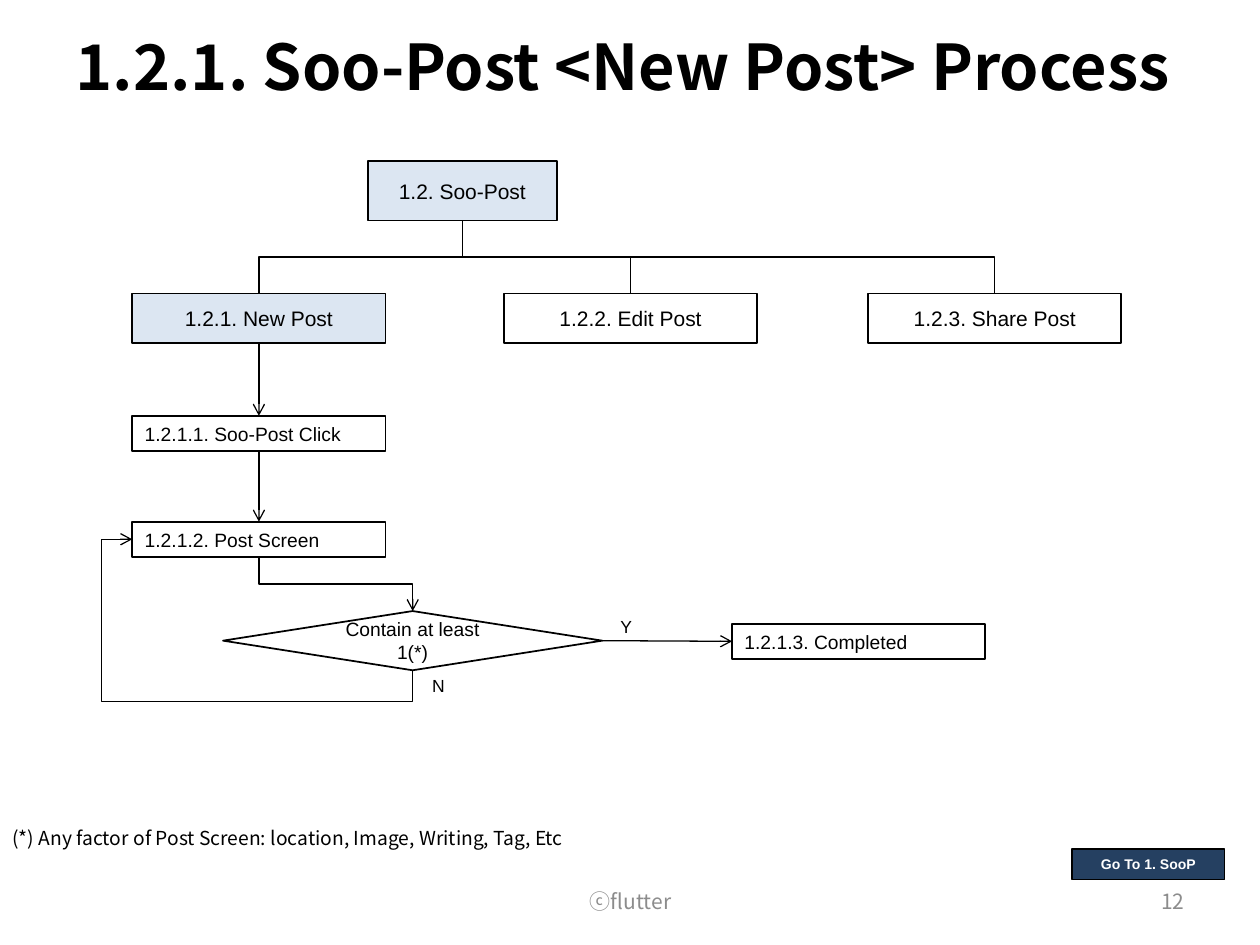
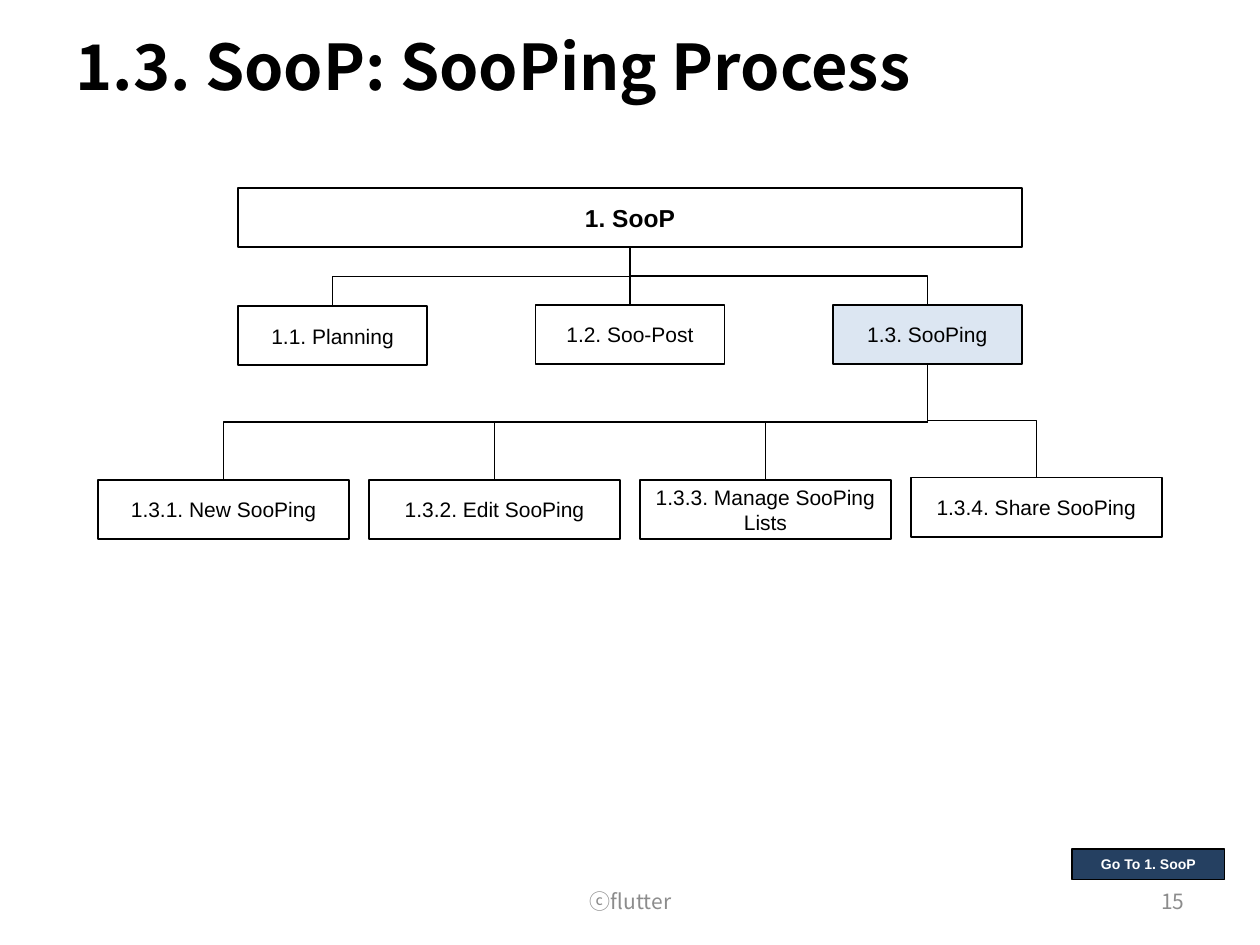
import pptx
import pptx.util
import pptx.dml.color
import pptx.enum.shapes
import pptx.enum.text
import pptx.oxml.ns
from lxml import etree

Inches = pptx.util.Inches
Pt = pptx.util.Pt
Shape = pptx.enum.shapes.MSO_SHAPE
Link = pptx.enum.shapes.MSO_CONNECTOR
Align = pptx.enum.text.PP_ALIGN
Anchor = pptx.enum.text.MSO_ANCHOR
qn = pptx.oxml.ns.qn

TOP, LEFT, BOTTOM, RIGHT = range(4)
BLACK, WHITE, GREY = "000000", "FFFFFF", "8C8C8C"
PALE, NAVY = "DCE6F2", "254061"
SANS, NOTO = "Arial", "Noto Sans CJK KR"


def tint(code):
    return pptx.dml.color.RGBColor.from_string(code)


def side(box, site):
    """Middle point of one side of a box."""
    x = box.left + box.width * {LEFT: 0, RIGHT: 2}.get(site, 1) // 2
    y = box.top + box.height * {TOP: 0, BOTTOM: 2}.get(site, 1) // 2
    return x, y


class Deck:
    def __init__(self):
        self.show = pptx.Presentation()
        self.show.slide_width = Inches(10)
        self.show.slide_height = Inches(7.5)

    def page(self, title, number):
        """Start a slide with its title, footer, number and button."""
        layout = self.show.slide_layouts[5]
        self.slide = self.show.slides.add_slide(layout)
        head = self.slide.shapes.title
        head.left, head.top = Inches(0.5), Inches(0.13)
        head.width, head.height = Inches(9), Inches(0.77)
        head.text_frame.auto_size = pptx.enum.text.MSO_AUTO_SIZE.NONE
        self.put(head, title, 36, NOTO, bold=True, align=Align.LEFT)
        self.label("ⓒflutter", 3.42, 6.95, 3.17, 0.4, 12, NOTO, GREY)
        self.label(number, 7.17, 6.95, 2.33, 0.4, 12, NOTO, GREY, Align.RIGHT)
        self.box("Go To 1. SooP", 8.51, 6.74, 1.21, 0.24, 8, NAVY, WHITE, True)

    def put(self, shape, text, size, font=SANS, color=BLACK, bold=False,
            align=Align.CENTER, anchor=Anchor.MIDDLE):
        """Set the text of a shape."""
        frame = shape.text_frame
        frame.word_wrap = True
        frame.vertical_anchor = anchor
        para = frame.paragraphs[0]
        para.alignment = align
        run = para.add_run()
        run.text = text
        run.font.size = Pt(size)
        run.font.bold = bold
        run.font.name = font
        run.font.color.rgb = tint(color)
        etree.SubElement(run.font._element, qn("a:ea"), typeface=font)

    def label(self, text, x, y, w, h, size, font=SANS, color=BLACK,
              align=Align.CENTER, anchor=Anchor.MIDDLE):
        area = self.slide.shapes.add_textbox(
            Inches(x), Inches(y), Inches(w), Inches(h))
        self.put(area, text, size, font, color, False, align, anchor)

    def box(self, text, x, y, w, h, size=12, fill=None, color=BLACK,
            bold=False, align=Align.CENTER, kind=Shape.RECTANGLE):
        shape = self.slide.shapes.add_shape(
            kind, Inches(x), Inches(y), Inches(w), Inches(h))
        shape.shadow.inherit = False
        if fill:
            shape.fill.solid()
            shape.fill.fore_color.rgb = tint(fill)
        else:
            shape.fill.background()
        shape.line.color.rgb = tint(BLACK)
        shape.line.width = Pt(1)
        self.put(shape, text, size, color=color, bold=bold, align=align)
        return shape

    def step(self, text, x, y):
        return self.box(text, x, y, 2.01, 0.28, 11, align=Align.LEFT)

    def link(self, first, last, start=BOTTOM, end=TOP, arrow=False, bends=()):
        """Join two boxes: straight if they line up, else bent."""
        x1, y1 = side(first, start)
        x2, y2 = side(last, end)
        near = Inches(0.02)
        bent = abs(x2 - x1) > near and abs(y2 - y1) > near
        kind = Link.ELBOW if bent else Link.STRAIGHT
        line = self.slide.shapes.add_connector(kind, x1, y1, x2, y2)
        line.begin_connect(first, start)
        line.end_connect(last, end)
        if bent:
            self.turn(line, x1, y1, x2, y2)
        props = line._element.spPr
        if bends:
            geom = props.find(qn("a:prstGeom"))
            geom.set("prst", "bentConnector4")
            guides = geom.find(qn("a:avLst"))
            for i, share in enumerate(bends, 1):
                etree.SubElement(guides, qn("a:gd"), name=f"adj{i}",
                                 fmla=f"val {round(share * 100000)}")
        line.line.color.rgb = tint(BLACK)
        line.line.width = Pt(0.75)
        if arrow:
            etree.SubElement(props.find(qn("a:ln")), qn("a:tailEnd"),
                             type="arrow")
        etree.SubElement(props, qn("a:effectLst"))

    def turn(self, line, x1, y1, x2, y2):
        """Rotate a bent connector so that it leaves vertically."""
        wide, high = abs(y2 - y1), abs(x2 - x1)
        line.left = (x1 + x2 - wide) // 2
        line.top = (y1 + y2 - high) // 2
        line.width, line.height = wide, high
        right, up = x2 > x1, y2 < y1
        frame = line._element.spPr.find(qn("a:xfrm"))
        frame.set("rot", str((270 if right else 90) * 60000))
        frame.set("flipH", "1" if right or up else "0")
        frame.set("flipV", "0")


def post(deck):
    deck.page("1.2.1. Soo-Post <New Post> Process", "12")
    root = deck.box("1.2. Soo-Post", 2.92, 1.28, 1.5, 0.47, fill=PALE)
    parts = [("1.2.1. New Post", 1.05, PALE), ("1.2.2. Edit Post", 4, None),
             ("1.2.3. Share Post", 6.89, None)]
    tasks = [deck.box(text, x, 2.33, 2.01, 0.39, fill=fill)
             for text, x, fill in parts]
    for task in tasks:
        deck.link(root, task)

    click = deck.step("1.2.1.1. Soo-Post Click", 1.05, 3.3)
    screen = deck.step("1.2.1.2. Post Screen", 1.05, 4.14)
    check = deck.box("Contain at least 1(*)", 1.77, 4.85, 3.01, 0.47, 11,
                     kind=Shape.FLOWCHART_DECISION)
    done = deck.step("1.2.1.3. Completed", 5.81, 4.95)
    for first, last in [(tasks[0], click), (click, screen), (screen, check)]:
        deck.link(first, last, arrow=True)
    deck.link(check, done, RIGHT, LEFT, arrow=True)
    deck.link(check, screen, BOTTOM, LEFT, arrow=True, bends=(-0.24, 1.11))
    deck.label("Y", 4.78, 4.85, 0.38, 0.24, 10)
    deck.label("N", 3.29, 5.32, 0.38, 0.24, 10)
    deck.label("(*) Any factor of Post Screen: location, Image, Writing, "
               "Tag, Etc", 0, 6.51, 10, 0.31, 11, NOTO,
               align=Align.LEFT, anchor=Anchor.TOP)


def ping(deck):
    deck.page("1.3. SooP: SooPing Process", "15")
    root = deck.box("1. SooP", 1.89, 1.49, 6.22, 0.47, 14, bold=True)
    parts = [("1.1. Planning", 2.43, None), ("1.2. Soo-Post", 2.42, None),
             ("1.3. SooPing", 2.42, PALE)]
    tasks = [deck.box(text, 1.89 + 2.36 * i, y, 1.5, 0.47, fill=fill)
             for i, (text, y, fill) in enumerate(parts)]
    for task in tasks:
        deck.link(root, task)

    leaves = [("1.3.1. New SooPing", 3.81), ("1.3.2. Edit SooPing", 3.81),
              ("1.3.3. Manage SooPing Lists", 3.81),
              ("1.3.4. Share SooPing", 3.79)]
    for i, (text, y) in enumerate(leaves):
        leaf = deck.box(text, 0.78 + 2.15 * i, y, 1.99, 0.47)
        deck.link(tasks[-1], leaf)


def main():
    deck = Deck()
    post(deck)
    ping(deck)
    deck.show.save("out.pptx")


if __name__ == "__main__":
    main()
